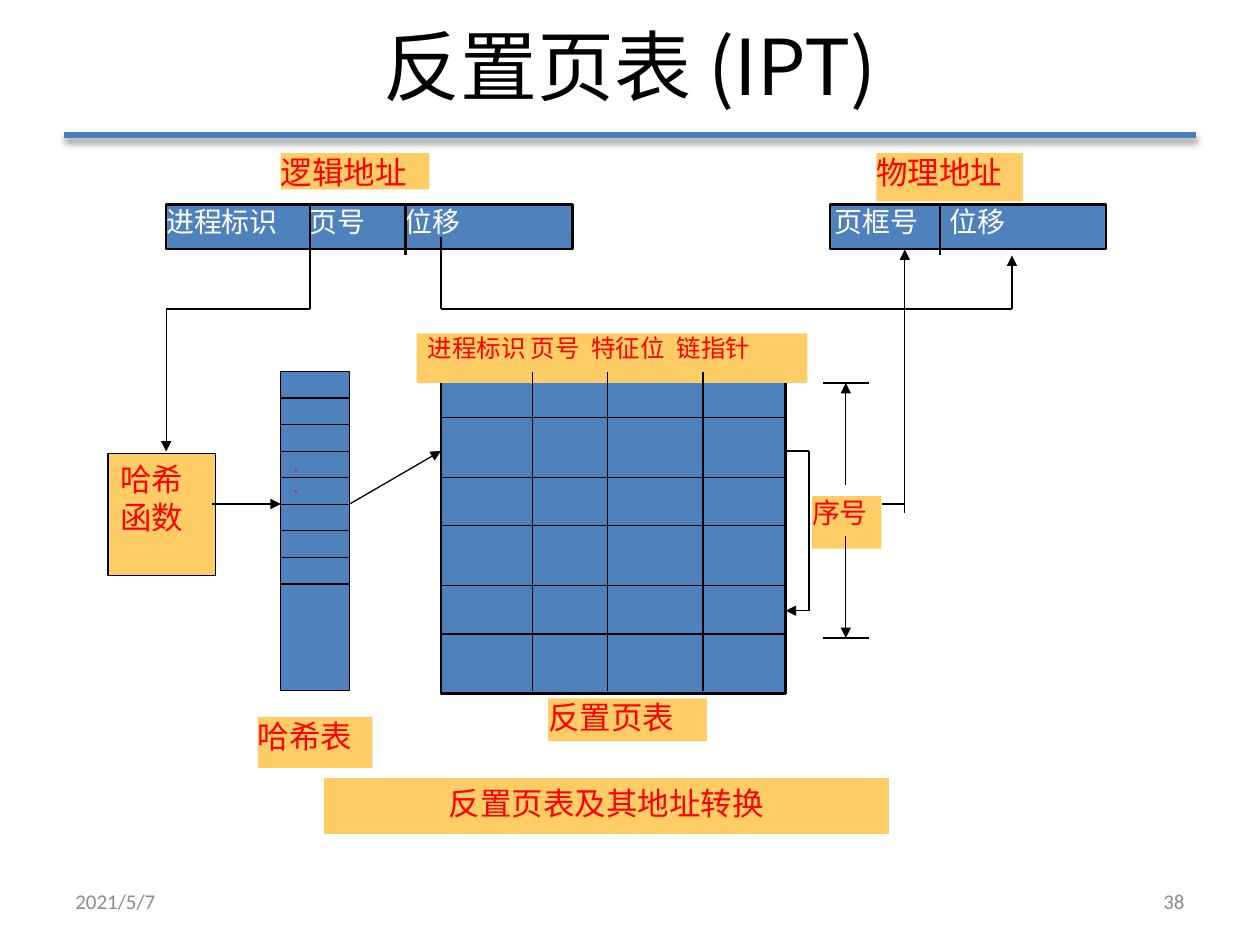
from dataclasses import dataclass

from lxml.etree import SubElement
from pptx import Presentation
from pptx.dml.color import RGBColor
from pptx.enum.shapes import MSO_CONNECTOR, MSO_SHAPE
from pptx.enum.text import MSO_ANCHOR as Anchor, PP_ALIGN as Align
from pptx.oxml.ns import qn
from pptx.util import Cm, Pt


@dataclass(frozen=True)
class Theme:
    blue: str = "4F81BD"
    rule: str = "4B7EBC"
    amber: str = "FFCC66"
    red: str = "FF0000"
    black: str = "000000"
    white: str = "FFFFFF"
    gray: str = "8C8C8C"
    cjk: str = "Noto Sans CJK JP"
    latin: str = "Calibri"
    serif: str = "Times New Roman"
    title: int = 44
    label: int = 18
    field: int = 16
    column: int = 14
    footer: int = 12
    dot: int = 10
    thick: float = 1.5
    thin: float = 0.75


THEME = Theme()
NO_INSET = (0, 0, 0, 0)
BOX_INSET = (0.25, 0.13, 0.25, 0.13)

# Content; all lengths in centimetres: left, top, width, height
TITLE = ("反置页表 (IPT)", (1.27, -0.08, 22.86, 2.79))
FOOTERS = [
    ("2021/5/7", (1.27, 17.65, 5.92, 1.02), Align.LEFT),
    ("38", (18.21, 17.65, 5.92, 1.02), Align.RIGHT),
]
LABELS = [
    ("逻辑地址", (5.66, 3.09, 3, 0.73)),
    ("物理地址", (17.67, 3.09, 2.95, 0.97)),
    ("反置页表", (11.05, 14.08, 3.2, 0.86)),
    ("哈希表", (5.2, 14.45, 2.31, 1.03)),
]
# Text, place, left inset, tab stops
ADDRESSES = [
    ("进程标识\t页号\t位移", (3.35, 4.12, 8.19, 0.9), 0, (2.9, 4.8)),
    ("页框号\t位移", (16.73, 4.12, 5.57, 0.9), 0.1, (2.32,)),
]
COLUMN_HEADS = ("进程标识\t页号\t特征位\t链指针", (8.4, 6.72, 7.88, 1),
                0.22, (2.08, 3.3, 5.02))
FRAME_INDEX = ("序号", (16.37, 10, 1.4, 1.06))
HASH_FUNCTION = ("哈希\n函数", (2.18, 9.14, 2.16, 2.46))
CAPTION = ("反置页表及其地址转换", (6.51, 15.67, 11.42, 1.15))

HASH_TABLE = (5.66, 7.49, 1.39, 6.43)
HASH_ROW, HASH_ROWS = 0.535, 8
PAGE_TABLE = (8.89, 7.6, 6.95, 6.38)
PAGE_COLUMNS = (10.74, 12.24, 14.17)
PAGE_ROWS = (8.41, 9.63, 10.59, 11.81, 12.78)

FIELD_DIVIDERS = (6.25, 8.17, 18.95)
INDEX_ENDS = (7.72, 12.86)
# Each path is a run of points; only its last segment may carry an arrowhead
ARROW_PATHS = [
    [(6.25, 5.15), (6.25, 6.23), (3.35, 6.23), (3.35, 9.1)],    # page to hash
    [(8.89, 4.78), (8.89, 6.23), (20.4, 6.23), (20.4, 5.15)],   # offset
    [(4.28, 10.16), (5.66, 10.16)],                             # hash to table
    [(7.05, 10.16), (8.89, 9.09)],                              # table to entry
    [(15.84, 9.09), (16.31, 9.09), (16.31, 12.31), (15.84, 12.31)],  # chain
    [(17.05, 9.78), (17.05, INDEX_ENDS[0])],                    # index range
    [(17.05, 10.8), (17.05, INDEX_ENDS[1])],
    [(18.24, 10.34), (18.24, 5.03)],                            # frame number
]
FRAME_LINK = [(17.78, 10.16), (18.24, 10.16)]


def color(value):
    return RGBColor.from_string(value)


def write(shape, text, size, ink, font=THEME.cjk, align=Align.JUSTIFY,
          anchor=Anchor.TOP, inset=NO_INSET, tabs=()):
    frame = shape.text_frame
    frame.word_wrap = True
    frame.vertical_anchor = anchor
    (frame.margin_left, frame.margin_top,
     frame.margin_right, frame.margin_bottom) = map(Cm, inset)
    frame.text = text
    for paragraph in frame.paragraphs:
        paragraph.alignment = align
        if tabs:
            tab_list = SubElement(paragraph._p.get_or_add_pPr(), qn("a:tabLst"))
            for stop in tabs:
                SubElement(tab_list, qn("a:tab"), pos=str(Cm(stop)), algn="l")
        for run in paragraph.runs:
            run.font.size = Pt(size)
            run.font.name = font
            run.font.color.rgb = color(ink)
            SubElement(run._r.get_or_add_rPr(), qn("a:ea"), typeface=font)


def add_text(slide, place, text, size, ink, **options):
    box = slide.shapes.add_textbox(*map(Cm, place))
    write(box, text, size, ink, **options)


def add_box(slide, place, fill, line=None, width=THEME.thin):
    shape = slide.shapes.add_shape(MSO_SHAPE.RECTANGLE, *map(Cm, place))
    shape.shadow.inherit = False
    shape.fill.solid()
    shape.fill.fore_color.rgb = color(fill)
    if line:
        shape.line.color.rgb = color(line)
        shape.line.width = Pt(width)
    else:
        shape.line.fill.background()
    return shape


def add_line(slide, start, end, width=THEME.thin, arrow=False, ink=THEME.black):
    line = slide.shapes.add_connector(
        MSO_CONNECTOR.STRAIGHT, *map(Cm, (*start, *end)))
    line.line.color.rgb = color(ink)
    line.line.width = Pt(width)
    if arrow:
        SubElement(line.line._get_or_add_ln(), qn("a:tailEnd"), type="triangle")
    return SubElement(line._element.spPr, qn("a:effectLst"))


def add_path(slide, points, arrow=True):
    segments = list(zip(points, points[1:]))
    for number, (start, end) in enumerate(segments, 1):
        add_line(slide, start, end, arrow=arrow and number == len(segments))


def add_heading(slide):
    effects = add_line(slide, (1.3, 2.72), (24.1, 2.72), 3, ink=THEME.rule)
    shadow = SubElement(effects, qn("a:outerShdw"), blurRad=str(Pt(4)),
                        dist=str(Pt(3)), dir="5400000", rotWithShape="0")
    tone = SubElement(shadow, qn("a:srgbClr"), val=THEME.black)
    SubElement(tone, qn("a:alpha"), val="40000")
    text, place = TITLE
    add_text(slide, place, text, THEME.title, THEME.black, align=Align.CENTER,
             anchor=Anchor.MIDDLE, inset=BOX_INSET)
    for text, place, align in FOOTERS:
        add_text(slide, place, text, THEME.footer, THEME.gray, font=THEME.latin,
                 align=align, anchor=Anchor.MIDDLE, inset=BOX_INSET)


def add_boxes(slide):
    # Address registers
    for text, place, indent, tabs in ADDRESSES:
        box = add_box(slide, place, THEME.blue, THEME.black, THEME.thick)
        write(box, text, THEME.field, THEME.white,
              inset=(indent, 0, 0, 0), tabs=tabs)
    # Inverted page table and its column heads
    add_box(slide, PAGE_TABLE, THEME.blue, THEME.black, THEME.thick)
    text, place, indent, tabs = COLUMN_HEADS
    write(add_box(slide, place, THEME.amber), text, THEME.column, THEME.red,
          inset=(indent, 0, 0, 0), tabs=tabs)
    # Labels
    for text, place in LABELS:
        write(add_box(slide, place, THEME.amber), text, THEME.label, THEME.red)
    text, place = FRAME_INDEX
    write(add_box(slide, place, THEME.amber), text, THEME.field, THEME.red)
    # Hash table, hash function and caption
    box = add_box(slide, HASH_TABLE, THEME.blue, THEME.black)
    write(box, "·\n·", THEME.dot, THEME.red, font=THEME.serif,
          align=Align.LEFT, inset=(0.25, 1.76, 0.25, 0.13))
    for (text, place), line, align in (
            (HASH_FUNCTION, THEME.black, Align.LEFT),
            (CAPTION, THEME.white, Align.CENTER)):
        write(add_box(slide, place, THEME.amber, line), text, THEME.label,
              THEME.red, align=align, inset=BOX_INSET)


def add_lines(slide):
    # Register dividers and ends of the index range
    for x in FIELD_DIVIDERS:
        add_line(slide, (x, 4.12), (x, 5.15), THEME.thick)
    for y in INDEX_ENDS:
        add_line(slide, (16.59, y), (17.52, y), THEME.thick)
    # Table grids
    left, top, width, height = HASH_TABLE
    for row in range(1, HASH_ROWS + 1):
        y = top + row * HASH_ROW
        add_line(slide, (left, y), (left + width, y))
    for x in PAGE_COLUMNS:
        add_line(slide, (x, top), (x, top + height))
    left, _, width, _ = PAGE_TABLE
    for y in PAGE_ROWS:
        add_line(slide, (left, y), (left + width, y))
    # Translation flow
    for points in ARROW_PATHS:
        add_path(slide, points)
    add_path(slide, FRAME_LINK, arrow=False)


def main():
    presentation = Presentation()
    presentation.slide_width, presentation.slide_height = Cm(25.4), Cm(19.05)
    slide = presentation.slides.add_slide(presentation.slide_layouts[6])
    add_heading(slide)
    add_boxes(slide)
    add_lines(slide)
    presentation.save("out.pptx")


if __name__ == "__main__":
    main()
